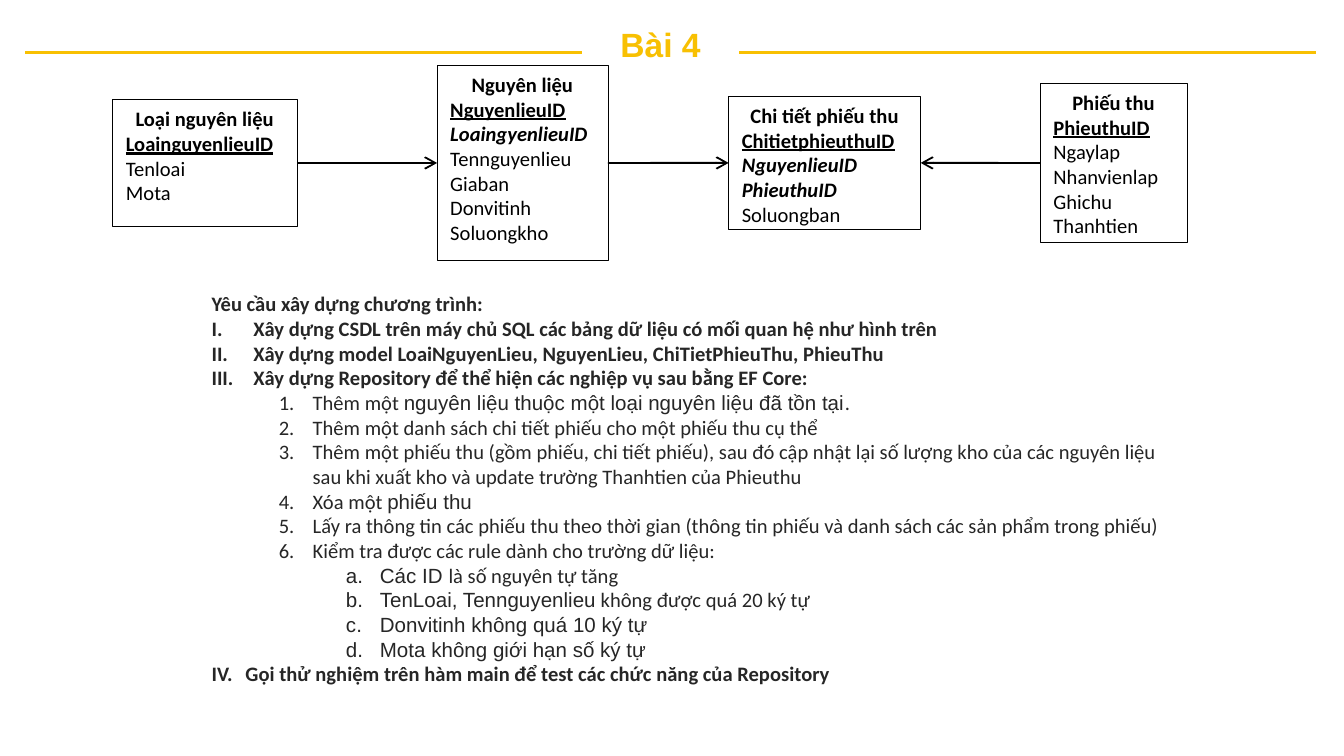
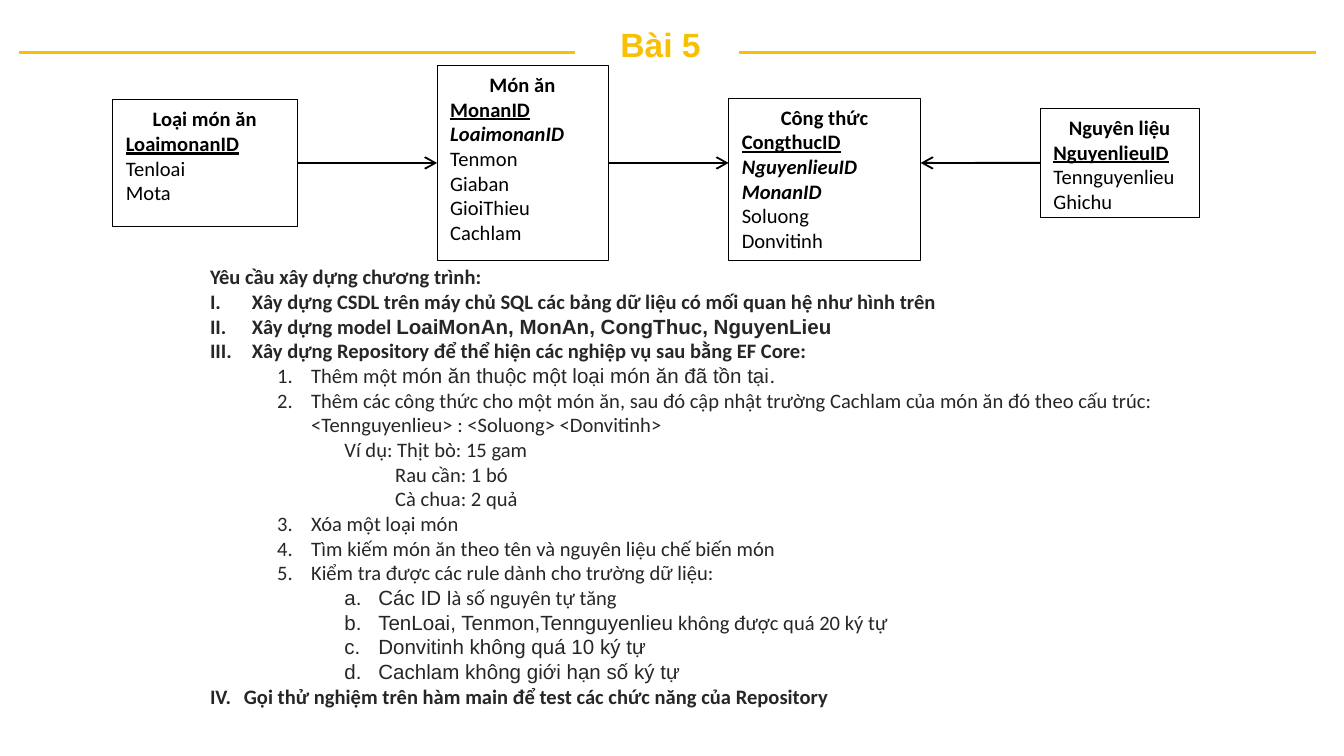
"""Builds two exercise slides: a row of linked data tables above a numbered task list."""
from lxml import etree
from pptx import Presentation
from pptx.dml.color import RGBColor
from pptx.enum import shapes, text
from pptx.oxml import ns
from pptx.util import Cm, Pt

GOLD = RGBColor(0xF8, 0xC0, 0x02)
INK = RGBColor(0x26, 0x26, 0x26)
BLACK = RGBColor(0, 0, 0)
WHITE = RGBColor(255, 255, 255)
AXIS = 3.08
RULE_Y = Cm(0.99)
BODY_WIDTH = Cm(18.42)
RELATIONS = [(0, 1), (1, 2), (3, 2)]

# Each style: level, left margin, first-line indent, numbering, bold
STYLES = {
    "intro": (0, 0, 0, None, True),
    "part": (0, 0.79, -0.79, "romanUcPeriod", True),
    "last": (0, 0.64, -0.64, "romanUcPeriod", True),
    "task": (1, 1.91, -0.64, "arabicPeriod", False),
    "rule": (2, 3.18, -0.64, "alphaLcPeriod", False),
    "example": (2, 2.54, 0, None, False),
    "more": (2, 3.5, 0, None, False),
}
INTRO = ("intro", "Yêu cầu xây dựng chương trình:")
DATABASE = ("part", "Xây dựng CSDL trên máy chủ SQL các bảng dữ liệu có mối quan hệ như hình trên")
REPOSITORY = ("part", "Xây dựng Repository để thể hiện các nghiệp vụ sau bằng EF Core:")
CHECKS = ("task", "Kiểm tra được các rule dành cho trường dữ liệu:")
AUTO_ID = ("rule", "|Các ID |là số nguyên tự tăng")
UNIT_LIMIT = ("rule", "|Donvitinh không quá 10 ký tự")
TEST = ("last", "Gọi thử nghiệm trên hàm main để test các chức năng của Repository")

# Each table: left, centre y, width, height, title, key, foreign keys, fields
# In the task texts, "|" switches between Calibri and Arial
EXERCISES = [
    {
        "title": "Bài 4",
        "left_rule": (0.48, 11),
        "tables": [
            (2.13, AXIS, 3.48, 2.39, "Loại nguyên liệu", "LoainguyenlieuID", [], ["Tenloai", "Mota"]),
            (8.26, AXIS, 3.23, 3.68, "Nguyên liệu", "NguyenlieuID", ["LoaingyenlieuID"],
             ["Tennguyenlieu", "Giaban", "Donvitinh", "Soluongkho"]),
            (13.77, AXIS, 3.63, 2.51, "Chi tiết phiếu thu", "ChitietphieuthuID",
             ["NguyenlieuID", "PhieuthuID"], ["Soluongban"]),
            (19.66, AXIS, 2.77, 3, "Phiếu thu", "PhieuthuID", [],
             ["Ngaylap", "Nhanvienlap", "Ghichu", "Thanhtien"]),
        ],
        "body": (3.81, 5.41, 8.18),
        "tasks": [
            INTRO,
            DATABASE,
            ("part", "Xây dựng model LoaiNguyenLieu, NguyenLieu, ChiTietPhieuThu, PhieuThu"),
            REPOSITORY,
            ("task", "Thêm một |nguyên liệu thuộc một loại nguyên liệu đã tồn tại|."),
            ("task", "Thêm một danh sách chi tiết phiếu cho một phiếu thu cụ thể"),
            ("task", "Thêm một phiếu thu (gồm phiếu, chi tiết phiếu), sau đó cập nhật lại số lượng kho "
                     "của các nguyên liệu sau khi xuất kho và update trường Thanhtien của Phieuthu"),
            ("task", "Xóa một |phiếu thu"),
            ("task", "Lấy ra thông tin các phiếu thu theo thời gian "
                     "(thông tin phiếu và danh sách các sản phẩm trong phiếu)"),
            CHECKS,
            AUTO_ID,
            ("rule", "|TenLoai, Tennguyenlieu| không được quá 20 ký tự"),
            UNIT_LIMIT,
            ("rule", "|Mota không giới hạn số ký tự"),
            TEST,
        ],
    },
    {
        "title": "Bài 5",
        "left_rule": (0.36, 10.87),
        "tables": [
            (2.13, AXIS, 3.48, 2.39, "Loại món ăn", "LoaimonanID", [], ["Tenloai", "Mota"]),
            (8.26, AXIS, 3.23, 3.68, "Món ăn", "MonanID", ["LoaimonanID"],
             ["Tenmon", "Giaban", "GioiThieu", "Cachlam"]),
            (13.77, 3.39, 3.63, 3.07, "Công thức", "CongthucID", ["NguyenlieuID", "MonanID"],
             ["Soluong", "Donvitinh"]),
            (19.66, AXIS, 3, 2.06, "Nguyên liệu", "NguyenlieuID", [], ["Tennguyenlieu", "Ghichu"]),
        ],
        "body": (3.78, 4.9, 8.66),
        "tasks": [
            INTRO,
            DATABASE,
            ("part", "Xây dựng model |LoaiMonAn, MonAn, CongThuc, NguyenLieu"),
            REPOSITORY,
            ("task", "Thêm một |món ăn thuộc một loại món ăn đã tồn tại|."),
            ("task", "Thêm các công thức cho một món ăn, sau đó cập nhật trường Cachlam của món ăn đó "
                     "theo cấu trúc: <Tennguyenlieu> : <Soluong> <Donvitinh>"),
            ("example", "Ví dụ: Thịt bò: 15 gam"),
            ("more", "Rau cần: 1 bó"),
            ("more", "Cà chua: 2 quả"),
            ("task", "Xóa một loại món"),
            ("task", "Tìm kiếm món ăn theo tên và nguyên liệu chế biến món"),
            CHECKS,
            AUTO_ID,
            ("rule", "|TenLoai, Tenmon,Tennguyenlieu| không được quá 20 ký tự"),
            UNIT_LIMIT,
            ("rule", "|Cachlam không giới hạn số ký tự"),
            TEST,
        ],
    },
]


def add_line(slide, x1, x2, y, color, width):
    line = slide.shapes.add_connector(shapes.MSO_CONNECTOR.STRAIGHT, x1, y, x2, y)
    line.line.color.rgb = color
    line.line.width = Pt(width)
    etree.SubElement(line._element.spPr, ns.qn("a:effectLst"))
    return line


def set_font(font, size, color, bold, name=None):
    font.size = Pt(size)
    font.color.rgb = color
    font.bold = bold
    if name:
        font.name = name


prs = Presentation()
prs.slide_width, prs.slide_height = Cm(25.4), Cm(14.29)

for exercise in EXERCISES:
    slide = prs.slides.add_slide(prs.slide_layouts[6])
    for start, end in (exercise["left_rule"], (13.97, 24.87)):
        add_line(slide, Cm(start), Cm(end), RULE_Y, GOLD, 1.5)

    heading = slide.shapes.add_textbox(Cm(11), Cm(0.41), Cm(2.97), Cm(0.84)).text_frame
    body_left, body_top, body_height = exercise["body"]
    body = slide.shapes.add_textbox(Cm(body_left), Cm(body_top), BODY_WIDTH, Cm(body_height)).text_frame
    for frame in (heading, body):
        frame.word_wrap = True
        frame.margin_left = frame.margin_right = Cm(0.19)
        frame.margin_top = frame.margin_bottom = Cm(0.1)

    heading.vertical_anchor = text.MSO_ANCHOR.MIDDLE
    title = heading.paragraphs[0]
    title.text = exercise["title"]
    title.alignment = text.PP_ALIGN.CENTER
    set_font(title.font, 18, GOLD, True, "Arial")

    body.auto_size = text.MSO_AUTO_SIZE.SHAPE_TO_FIT_TEXT
    for index, (style, wording) in enumerate(exercise["tasks"]):
        task = body.add_paragraph() if index else body.paragraphs[0]
        task.level, margin, indent, numbering, bold = STYLES[style]
        properties = task._p.get_or_add_pPr()
        properties.set("marL", str(Cm(margin)))
        properties.set("indent", str(Cm(indent)))
        if numbering:
            etree.SubElement(properties, ns.qn("a:buAutoNum"), type=numbering)
        set_font(task.font, 11, INK, bold)
        for position, part in enumerate(wording.split("|")):
            if part:
                run = task.add_run()
                run.text = part
                run.font.name = ("Calibri", "Arial")[position % 2]

    tables = []
    for left, middle, width, height, name, key, foreign_keys, fields in exercise["tables"]:
        table = slide.shapes.add_shape(shapes.MSO_SHAPE.RECTANGLE, Cm(left), Cm(middle - height / 2),
                                       Cm(width), Cm(height))
        table.shadow.inherit = False
        table.fill.solid()
        table.fill.fore_color.rgb = WHITE
        table.line.color.rgb = BLACK
        table.line.width = Pt(0.25)
        frame = table.text_frame
        frame.word_wrap = True
        frame.vertical_anchor = text.MSO_ANCHOR.TOP
        for index, column in enumerate([name, key, *foreign_keys, *fields]):
            row = frame.add_paragraph() if index else frame.paragraphs[0]
            row.text = column
            row.alignment = text.PP_ALIGN.LEFT if index else text.PP_ALIGN.CENTER
            last_key = 1 + len(foreign_keys)
            set_font(row.font, 11, BLACK, index <= last_key, "Calibri")
            row.font.underline = index == 1
            row.font.italic = 1 < index <= last_key
        tables.append((table, middle))

    for source, target in RELATIONS:
        (origin, origin_y), (goal, goal_y) = tables[source], tables[target]
        if source < target:
            exit_side, entry_side = 3, 1
            start, end = origin.left + origin.width, goal.left
        else:
            exit_side, entry_side = 1, 3
            start, end = origin.left, goal.left + goal.width
        arrow = add_line(slide, start, end, Cm(AXIS), BLACK, 1)
        etree.SubElement(arrow.line._get_or_add_ln(), ns.qn("a:tailEnd"), type="arrow")
        if origin_y == AXIS:
            arrow.begin_connect(origin, exit_side)
        if goal_y == AXIS:
            arrow.end_connect(goal, entry_side)

prs.save("out.pptx")
